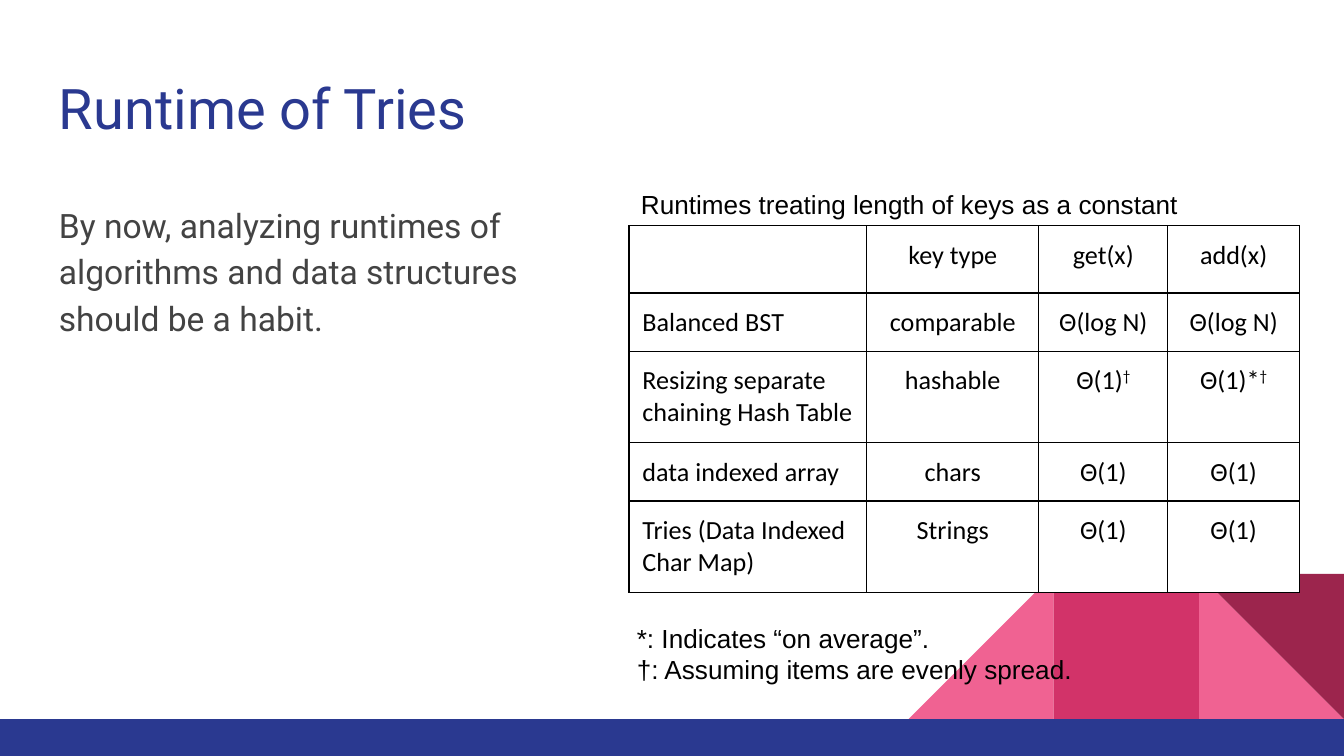
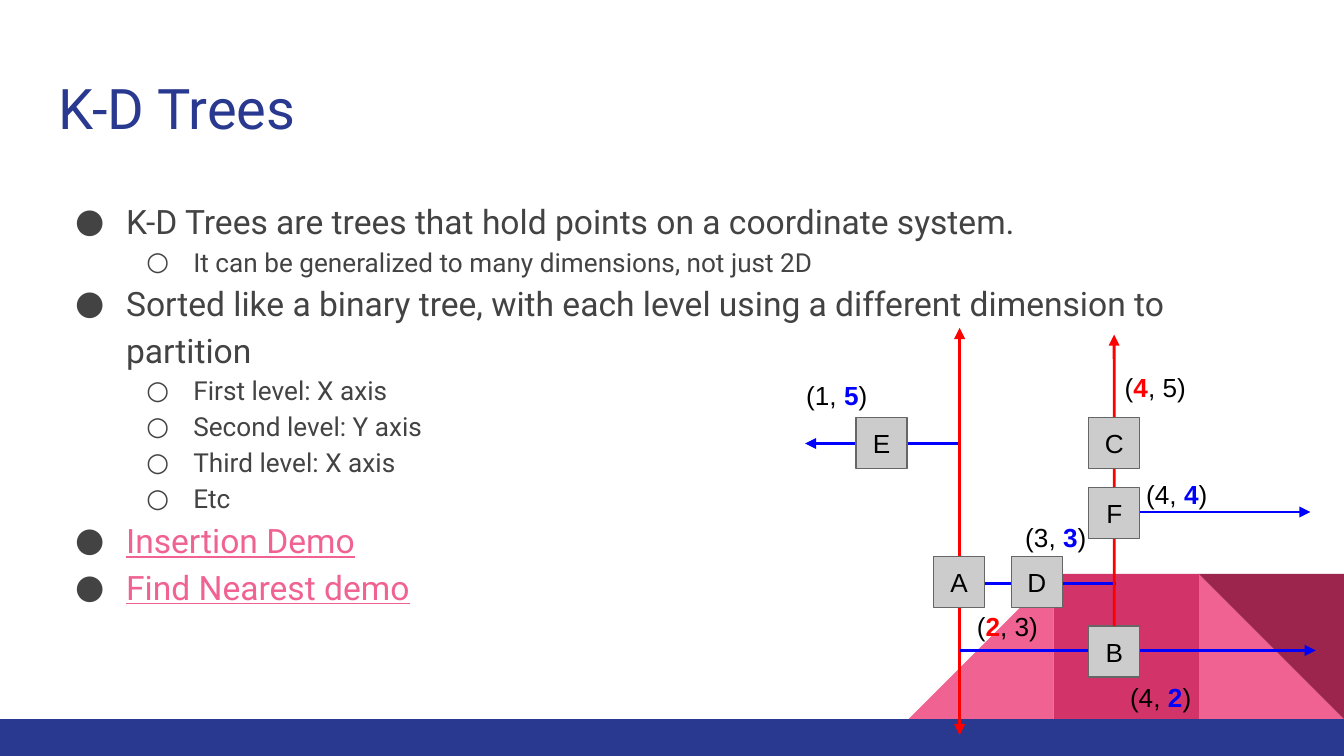
from lxml.etree import SubElement
from pptx import Presentation
from pptx.dml.color import RGBColor
from pptx.enum.shapes import MSO_CONNECTOR, MSO_SHAPE
from pptx.enum.text import MSO_ANCHOR, PP_ALIGN
from pptx.oxml.ns import qn
from pptx.util import Inches, Pt

NAVY = RGBColor(0x2A, 0x39, 0x90)
PINK = RGBColor(0xF0, 0x62, 0x92)
ROSE = RGBColor(0xD2, 0x33, 0x69)
WINE = RGBColor(0x9C, 0x25, 0x4D)
SLATE = RGBColor(0x43, 0x43, 0x43)
GREY = RGBColor(0x66, 0x66, 0x66)
SILVER = RGBColor(0xCC, 0xCC, 0xCC)
WHITE = RGBColor(0xFF, 0xFF, 0xFF)
BLACK = RGBColor(0x00, 0x00, 0x00)
RED = RGBColor(0xFF, 0x00, 0x00)
BLUE = RGBColor(0x00, 0x00, 0xFF)

COLUMNS, ROWS = 100, 56.25
CELL = Inches(0.1)
INSET = CELL
BULLETS = (("●", 5, -3.8, 18), ("○", 10, -3.5, 14))


def units(*lengths):
    """Turn counts of grid cells into slide lengths."""
    return [round(length * CELL) for length in lengths]


def add_colour(parent, colour):
    fill = SubElement(parent, qn("a:solidFill"))
    SubElement(fill, qn("a:srgbClr")).set("val", str(colour))


class Deck:
    def __init__(self):
        self.deck = Presentation()
        self.deck.slide_width, self.deck.slide_height = units(COLUMNS, ROWS)
        self.page = None

    def add_page(self, title):
        self.page = self.deck.slides.add_slide(self.deck.slide_layouts[6])
        side, base = 10.8, 53.5
        top = base - side
        triangle, rectangle = MSO_SHAPE.RIGHT_TRIANGLE, MSO_SHAPE.RECTANGLE
        blocks = ((triangle, 1, PINK, 0), (triangle, 3, PINK, 270),
                  (rectangle, 2, ROSE, 0), (triangle, 1, WINE, 180))
        for kind, steps, colour, turn in blocks:
            left = COLUMNS - steps * side
            self.add_block(kind, left, top, side, side, colour).rotation = turn
        self.add_block(rectangle, 0, base, COLUMNS, ROWS - base, NAVY)
        self.add_text(3.4, 4.5, 93.2, 6.6, [[(title, {})]],
                      size=30, face="Roboto", colour=NAVY)

    def add_block(self, kind, left, top, width, height, colour):
        block = self.page.shapes.add_shape(kind, *units(left, top, width, height))
        block.shadow.inherit = False
        block.fill.solid()
        block.fill.fore_color.rgb = colour
        block.line.fill.background()
        return block

    def set_insets(self, holder):
        holder.margin_left = holder.margin_right = INSET
        holder.margin_top = holder.margin_bottom = INSET

    def add_spans(self, para, spans, size=14, face="Arial", colour=BLACK):
        for text, style in spans:
            span = para.add_run()
            span.text = text
            span.font.size = Pt(size)
            span.font.name = face
            span.font.color.rgb = style.get("colour", colour)
            span.font.bold = style.get("bold")
            span.font.underline = style.get("underline")
            if style.get("raised"):
                span.font._element.set("baseline", "30000")

    def add_text(self, left, top, width, height, paras, **font):
        box = self.page.shapes.add_textbox(*units(left, top, width, height))
        frame = box.text_frame
        frame.word_wrap = True
        self.set_insets(frame)
        for index, spans in enumerate(paras):
            para = frame.add_paragraph() if index else frame.paragraphs[0]
            self.add_spans(para, spans, **font)
        return frame

    def add_bullets(self, left, top, width, height, items):
        frame = self.add_text(left, top, width, height, [])
        for index, (level, text, style) in enumerate(items):
            para = frame.add_paragraph() if index else frame.paragraphs[0]
            mark, margin, indent, size = BULLETS[level]
            para.level = level
            properties = para._p.get_or_add_pPr()
            for name, length in zip(("marL", "indent"), units(margin, indent)):
                properties.set(name, str(length))
            colour = SubElement(properties, qn("a:buClr"))
            SubElement(colour, qn("a:srgbClr")).set("val", str(SLATE))
            SubElement(properties, qn("a:buFont")).set("typeface", "Roboto")
            SubElement(properties, qn("a:buChar")).set("char", mark)
            para.line_spacing = 1.15
            self.add_spans(para, [(text, style)], size, "Roboto", SLATE)

    def add_table(self, left, top, widths, heights, rows):
        frame = self.page.shapes.add_table(
            len(heights), len(widths),
            *units(left, top, sum(widths), sum(heights)))
        table = frame.table
        table.first_row = table.horz_banding = False
        for column, width in zip(table.columns, units(*widths)):
            column.width = width
        for row, height in zip(table.rows, units(*heights)):
            row.height = height
        for row, texts in zip(table.rows, rows):
            for index, (cell, text) in enumerate(zip(row.cells, texts)):
                self.set_insets(cell)
                self.add_borders(cell)
                cell.fill.solid()
                cell.fill.fore_color.rgb = WHITE
                para = cell.text_frame.paragraphs[0]
                para.alignment = PP_ALIGN.CENTER if index else PP_ALIGN.LEFT
                value, dagger, _ = text.partition("†")
                spans = [(value, {}), (dagger, {"raised": True})]
                self.add_spans(para, [span for span in spans if span[0]],
                               face="Calibri")

    def add_borders(self, cell):
        properties = cell._tc.get_or_add_tcPr()
        for side in ("L", "R", "T", "B"):
            border = SubElement(properties, qn("a:ln" + side))
            border.set("w", str(Pt(0.75)))
            add_colour(border, BLACK)

    def add_line(self, start, end, colour, arrows=("headEnd",)):
        """Draw a line; headEnd puts an arrow at start, tailEnd at end."""
        line = self.page.shapes.add_connector(
            MSO_CONNECTOR.STRAIGHT, *units(*start, *end))
        line.line.color.rgb = colour
        line.line.width = Pt(1.5)
        for arrow in arrows:
            SubElement(line.line._get_or_add_ln(), qn("a:" + arrow)).set("type", "triangle")
        SubElement(line._element.spPr, qn("a:effectLst"))
        return line

    def add_node(self, name, x, y):
        """Draw a tree node at its place in the coordinate system."""
        box = self.add_block(MSO_SHAPE.RECTANGLE, 57.93 + 5.77 * x,
                             56.93 - 5.17 * y, 3.8, 3.8, SILVER)
        box.line.color.rgb = GREY
        box.line.width = Pt(0.75)
        frame = box.text_frame
        self.set_insets(frame)
        frame.vertical_anchor = MSO_ANCHOR.MIDDLE
        frame.paragraphs[0].alignment = PP_ALIGN.CENTER
        self.add_spans(frame.paragraphs[0], [(name, {})])
        return box

    def add_point(self, left, top, x, y, axis):
        """Label a point, with the coordinate that partitions in colour."""
        if axis == "x":
            parts = "(", str(x), f", {y})"
        else:
            parts = f"({x}, ", str(y), ")"
        styles = {}, {"colour": RED if axis == "x" else BLUE, "bold": True}, {}
        self.add_text(left, top, 7.9, 3.1, [list(zip(parts, styles))])


def build_runtimes(deck):
    deck.add_page("Runtime of Tries")
    frame = deck.add_text(
        3.4, 13.8, 40.9, 36.1,
        [[("By now, analyzing runtimes of algorithms and data structures "
           "should be a habit.", {})]],
        size=18, face="Roboto", colour=SLATE)
    frame.paragraphs[0].line_spacing = 1.15
    frame.paragraphs[0].space_after = Pt(16)
    deck.add_text(46.4, 45.3, 34.7, 7.2,
                  [[("*: Indicates “on average”.", {})],
                   [("†: Assuming items are evenly spread.", {})]])
    deck.add_table(
        46.8, 16.8, (17.7, 12.8, 9.6, 9.8), (4.8, 4.3, 6.8, 4.3, 6.8),
        (("", "key type", "get(x)", "add(x)"),
         ("Balanced BST", "comparable", "Θ(log N)", "Θ(log N)"),
         ("Resizing separate chaining Hash Table", "hashable", "Θ(1)†", "Θ(1)*†"),
         ("data indexed array", "chars", "Θ(1)", "Θ(1)"),
         ("Tries (Data Indexed Char Map)", "Strings", "Θ(1)", "Θ(1)")))
    deck.add_text(46.7, 13, 46.5, 4.8,
                  [[("Runtimes treating length of keys as a constant", {})]])


def build_trees(deck):
    deck.add_page("K-D Trees")
    link = {"colour": PINK, "underline": True}
    deck.add_bullets(3.4, 13.5, 93.2, 36.5, (
        (0, "K-D Trees are trees that hold points on a coordinate system.", {}),
        (1, "It can be generalized to many dimensions, not just 2D", {}),
        (0, "Sorted like a binary tree, with each level using a different "
            "dimension to partition", {}),
        (1, "First level: X axis", {}),
        (1, "Second level: Y axis", {}),
        (1, "Third level: X axis", {}),
        (1, "Etc", {}),
        (0, "Insertion Demo", link),
        (0, "Find Nearest demo", link)))

    deck.add_line((97.5, 38.1), (83, 38.1), BLUE)
    deck.add_line((59.9, 33), (71.4, 33), BLUE)
    deck.add_line((83, 43.4), (71, 43.4), BLUE, arrows=())
    deck.add_line((71.4, 24.4), (71.4, 54.7), RED, arrows=("headEnd", "tailEnd"))
    deck.add_node("A", 2, 3)
    deck.add_point(71.7, 44.4, 2, 3, "x")
    deck.add_line((97.9, 48.4), (71.4, 48.4), BLUE)
    root = deck.add_node("B", 4, 2)
    deck.add_line((82.9, 24.9), (82.9, 46.6), RED).end_connect(root, 0)
    deck.add_point(83.1, 49.7, 4, 2, "y")
    for name, x, y, axis, left, top in (
            ("C", 4, 5, "x", 82.7, 26.6), ("D", 3, 3, "y", 75.3, 37.8),
            ("E", 1, 5, "y", 59, 27.2), ("F", 4, 4, "y", 84.3, 34.6)):
        deck.add_node(name, x, y)
        deck.add_point(left, top, x, y, axis)


def main():
    deck = Deck()
    build_runtimes(deck)
    build_trees(deck)
    deck.deck.save("out.pptx")


if __name__ == "__main__":
    main()
